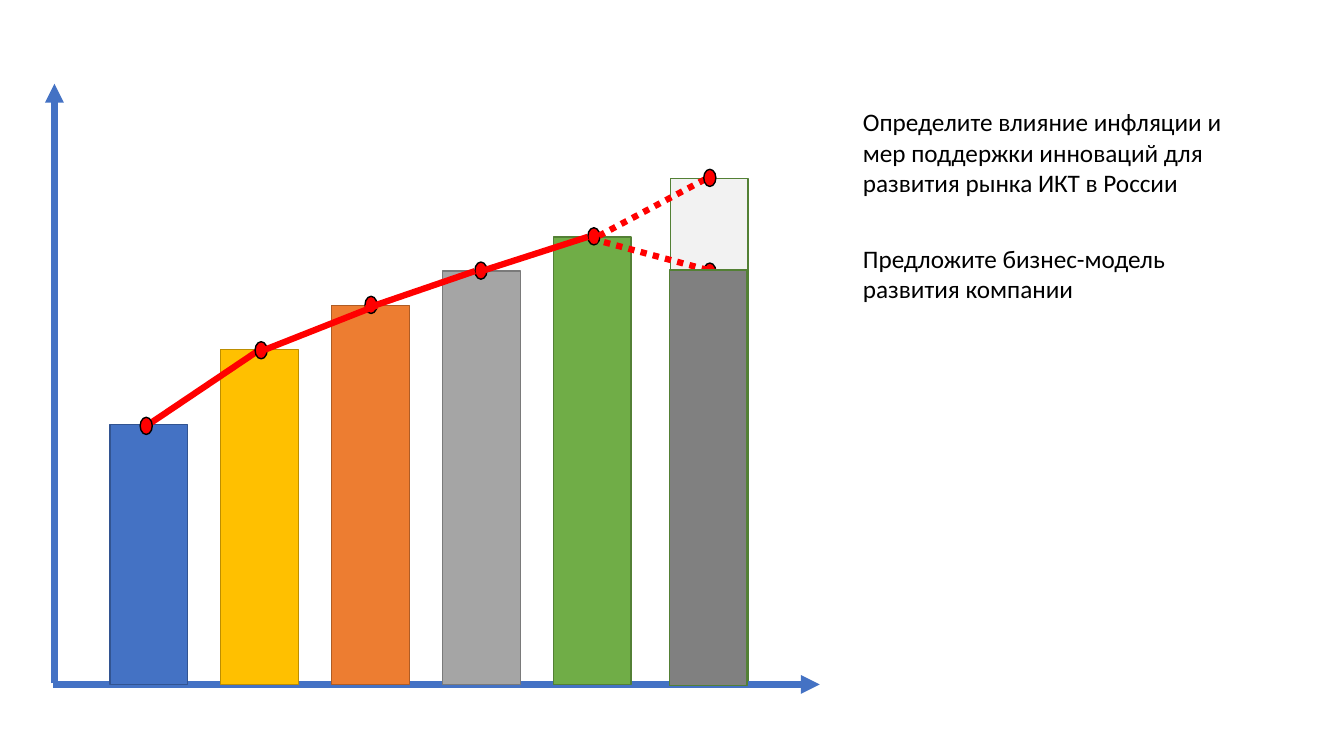
import pptx
import pptx.util
import pptx.dml.color
import pptx.enum.dml
import pptx.enum.shapes
import pptx.oxml
import pptx.oxml.ns

Inches = pptx.util.Inches
Shape = pptx.enum.shapes.MSO_SHAPE

THEME = {
    "font": "Calibri", "size": 18, "text": "000000",
    "axis": "4472C4", "trend": "FF0000", "dot": "000000",
    "thick": 4.5, "thin": 1,
    "growth": ("F2F2F2", "538035"), "slump": ("808080", "538035"),
    "years": [("4472C4", "325491"), ("FFC000", "BD8E00"), ("ED7D31", "AF5C24"),
              ("A5A5A5", "7A7A7A"), ("70AD47", "538035")],
}

NOTES = [
    ("Определите влияние инфляции и мер поддержки инноваций для развития рынка ИКТ в России",
     (8.46, 1.01, 3.78, 1.01)),
    ("Предложите бизнес-модель развития компании", (8.46, 2.36, 3.91, 0.71)),
]

BASE, FIRST, STEP, WIDTH = 6.79, 1.09, 1.1, 0.77
TOPS = [4.21, 3.47, 3.03, 2.69, 2.35]
GROWTH = (6.65, 1.77, 6.78)  # left, top, bottom
SLUMP = (6.64, 2.68, 6.80)

AXES = [((0.53, 6.79), (8.13, 6.79)), ((0.54, 6.78), (0.54, 0.83))]
DOT = (0.12, 0.17)
DOTS = [(1.39, 4.14), (2.53, 3.39), (3.62, 2.94), (4.71, 2.60), (5.83, 2.26)]
ENDS = [(6.98, 1.68), (6.98, 2.61)]
RISE = [((1.47, 4.21), (2.57, 3.47)), ((2.60, 3.48), (3.74, 3.03)),
        ((3.63, 3.06), (4.71, 2.69)), ((4.77, 2.68), (5.83, 2.35))]
UP = ((5.94, 2.34), (7.01, 1.77))
DOWN = ((5.87, 2.37), (7.10, 2.70))

deck = pptx.Presentation()
deck.slide_width, deck.slide_height = Inches(13.33), Inches(7.5)
slide = deck.slides.add_slide(deck.slide_layouts[6])


def rgb(code):
    return pptx.dml.color.RGBColor.from_string(code)


def add_form(kind, box, fill, edge):
    form = slide.shapes.add_shape(kind, *map(Inches, box))
    form.shadow.inherit = False
    form.fill.solid()
    form.fill.fore_color.rgb = rgb(fill)
    form.line.color.rgb = rgb(edge)
    form.line.width = pptx.util.Pt(THEME["thin"])
    return form


def add_bar(left, top, base, paint):
    return add_form(Shape.RECTANGLE, (left, top, WIDTH, base - top), *paint)


def add_dot(spot):
    add_form(Shape.OVAL, spot + DOT, THEME["trend"], THEME["dot"])


def add_line(ends, color, arrow=False, dotted=False):
    points = [Inches(v) for point in ends for v in point]
    link = slide.shapes.add_connector(pptx.enum.shapes.MSO_CONNECTOR.STRAIGHT, *points)
    link.line.color.rgb = rgb(color)
    link.line.width = pptx.util.Pt(THEME["thick"])
    if dotted:
        link.line.dash_style = pptx.enum.dml.MSO_LINE.ROUND_DOT
    props = link._element.spPr
    if arrow:
        tip = pptx.oxml.parse_xml(
            f'<a:tailEnd {pptx.oxml.ns.nsdecls("a")} type="triangle"/>')
        link.line._get_or_add_ln().append(tip)
    props.append(pptx.oxml.parse_xml(f'<a:effectLst {pptx.oxml.ns.nsdecls("a")}/>'))
    return link


def add_note(text, box):
    note = slide.shapes.add_textbox(*map(Inches, box))
    note.text_frame.word_wrap = True
    para = note.text_frame.paragraphs[0]
    para.text = text
    para.font.name = THEME["font"]
    para.font.size = pptx.util.Pt(THEME["size"])
    para.font.color.rgb = rgb(THEME["text"])


add_bar(*GROWTH, THEME["growth"])
for axis in AXES:
    add_line(axis, THEME["axis"], arrow=True)
bars = [add_bar(FIRST + i * STEP, top, BASE, paint)
        for i, (top, paint) in enumerate(zip(TOPS, THEME["years"]))]

# The first trend line lies under the dots, the others above them
start = add_line(RISE[0], THEME["trend"])
start.begin_connect(bars[0], 0)
start.end_connect(bars[1], 0)
for spot in DOTS:
    add_dot(spot)
rest = [add_line(ends, THEME["trend"]) for ends in RISE[1:]]
rest[-1].begin_connect(bars[3], 0)

add_line(UP, THEME["trend"], dotted=True)
for spot in ENDS:
    add_dot(spot)
add_line(DOWN, THEME["trend"], dotted=True)
add_bar(*SLUMP, THEME["slump"])

for text, box in NOTES:
    add_note(text, box)

deck.save("out.pptx")
